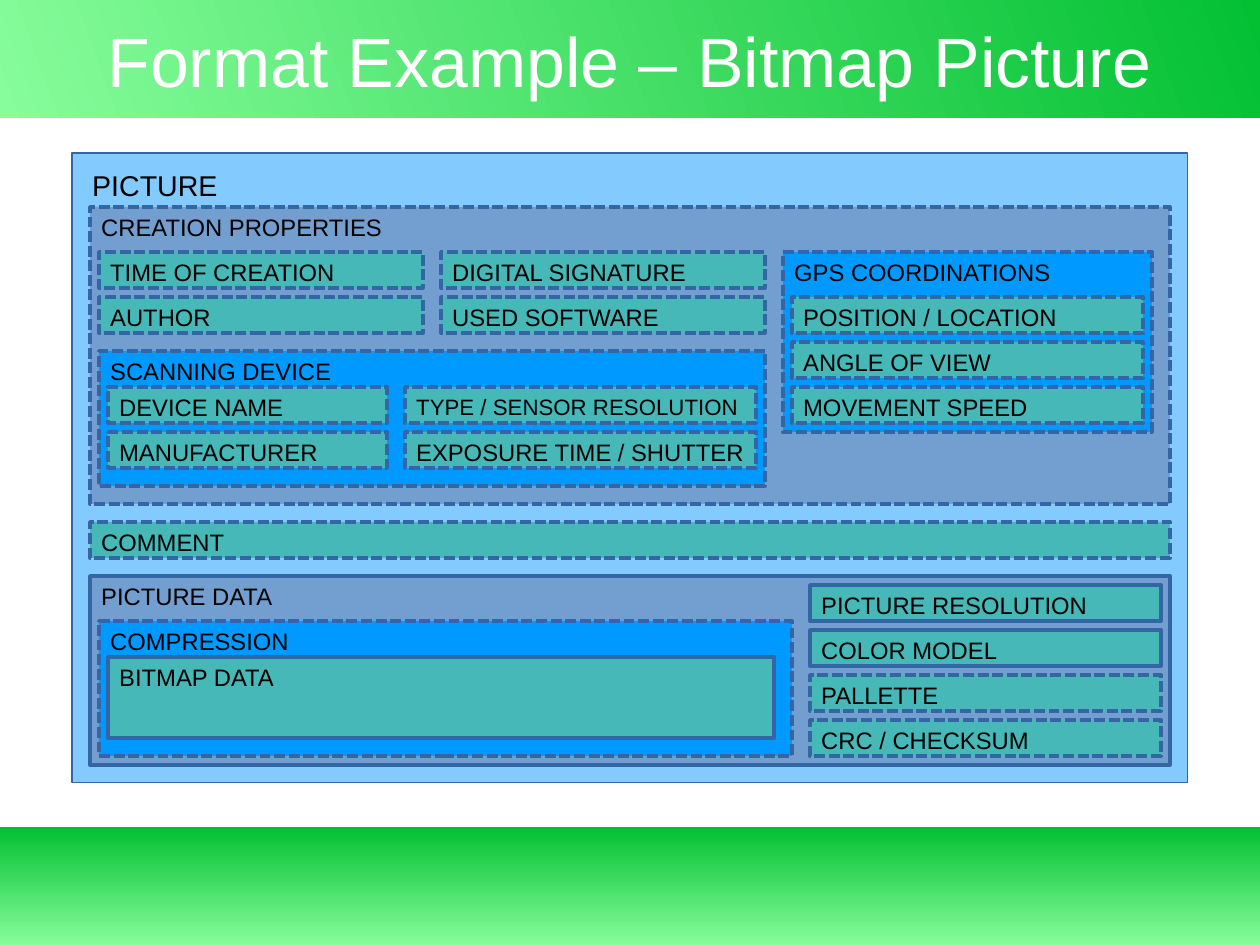
"""Builds a slide that shows the block structure of a bitmap picture format."""
from pptx import Presentation
from pptx.dml.color import RGBColor
from pptx.enum.dml import MSO_LINE
from pptx.enum.shapes import MSO_SHAPE
from pptx.enum.text import MSO_ANCHOR, MSO_AUTO_SIZE, PP_ALIGN
from pptx.util import Cm, Pt

RECTANGLE = MSO_SHAPE.RECTANGLE
DASHED = MSO_LINE.SQUARE_DOT
TOP, MIDDLE = MSO_ANCHOR.TOP, MSO_ANCHOR.MIDDLE
LEFT, CENTER = PP_ALIGN.LEFT, PP_ALIGN.CENTER
FIXED_SIZE = MSO_AUTO_SIZE.NONE

SLIDE_WIDTH, SLIDE_HEIGHT, BAR_HEIGHT = 28, 21, 2.62
ROW_STEP, FIELD_HEIGHT = 1, 0.8
PICTURE_FILL, SECTION_FILL = "83CAFF", "729FCF"
GROUP_FILL, FIELD_FILL = "0099FF", "47B8B8"
BORDER, LIGHT_GREEN, DARK_GREEN = "3465A4", "87FD9B", "03C033"


def colour(value):
    """Turn a hex string into a colour."""
    return RGBColor.from_string(value)


class FormatSlide:
    """Holds the style and the current slide."""

    font_name = "Arial"

    def __init__(self, presentation):
        """Add a title-only slide."""
        self.slide = presentation.slides.add_slide(presentation.slide_layouts[5])

    def rectangle(self, left, top, width, height):
        """Add a rectangle without a shadow."""
        shape = self.slide.shapes.add_shape(
            RECTANGLE, Cm(left), Cm(top), Cm(width), Cm(height))
        shape.shadow.inherit = False
        return shape

    def label(self, frame, text, size, hex_colour, align, anchor, insets):
        """Set one line of text with the given left and top insets."""
        frame.auto_size = FIXED_SIZE
        frame.word_wrap = True
        frame.vertical_anchor = anchor
        frame.margin_left, frame.margin_top = (Cm(inset) for inset in insets)
        frame.margin_right = frame.margin_bottom = 0
        paragraph = frame.paragraphs[0]
        paragraph.alignment = align
        run = paragraph.add_run()
        run.text = text
        run.font.name = self.font_name
        run.font.size = Pt(size)
        run.font.color.rgb = colour(hex_colour)

    def bar(self, top, angle):
        """Add a green gradient bar across the slide."""
        bar = self.rectangle(0, top, SLIDE_WIDTH, BAR_HEIGHT)
        bar.line.fill.background()
        bar.fill.gradient()
        bar.fill.gradient_angle = angle
        for stop, shade in zip(bar.fill.gradient_stops, (LIGHT_GREEN, DARK_GREEN)):
            stop.color.rgb = colour(shade)

    def title(self, text):
        """Fill the title placeholder and bring it in front of the bars."""
        title = self.slide.shapes.title
        title.left, title.top, title.width, title.height = (
            Cm(1.4), Cm(0.43), Cm(25.2), Cm(1.78))
        self.label(title.text_frame, text, 44, "FFFFFF", CENTER, MIDDLE, (0, 0))
        title.element.getparent().append(title.element)

    def block(self, text, left, top, width, height, fill, required=False,
              size=15, border=2.3, insets=(0.25, 0.13)):
        """Add a labelled block, dashed unless it is required."""
        block = self.rectangle(left, top, width, height)
        block.fill.solid()
        block.fill.fore_color.rgb = colour(fill)
        block.line.color.rgb = colour(BORDER)
        block.line.width = Pt(border)
        if not required:
            block.line.dash_style = DASHED
        self.label(block.text_frame, text, size, "000000", LEFT, TOP, insets)

    def fields(self, left, top, width, names, required=(), sizes=None):
        """Add a column of fields at an equal step."""
        for row, name in enumerate(names):
            self.block(name, left, top + row * ROW_STEP, width, FIELD_HEIGHT,
                       FIELD_FILL, name in required, (sizes or {}).get(name, 15))


def main():
    """Build and save the slide."""
    presentation = Presentation()
    presentation.slide_width = Cm(SLIDE_WIDTH)
    presentation.slide_height = Cm(SLIDE_HEIGHT)
    page = FormatSlide(presentation)
    page.bar(0, 20)
    page.bar(SLIDE_HEIGHT - BAR_HEIGHT, 90)
    page.title("Format Example – Bitmap Picture")

    page.block("PICTURE", 1.6, 3.4, 24.8, 14, PICTURE_FILL, required=True,
               size=18, border=0, insets=(0.45, 0.33))

    page.block("CREATION PROPERTIES", 2, 4.6, 24, 6.6, SECTION_FILL)
    page.fields(2.2, 5.6, 7.2, ["TIME OF CREATION", "AUTHOR"])
    page.fields(9.8, 5.6, 7.2, ["DIGITAL SIGNATURE", "USED SOFTWARE"])

    page.block("SCANNING DEVICE", 2.2, 7.8, 14.8, 3, GROUP_FILL)
    page.fields(2.4, 8.6, 6.2, ["DEVICE NAME", "MANUFACTURER"])
    page.fields(9, 8.6, 7.8, ["TYPE / SENSOR RESOLUTION", "EXPOSURE TIME / SHUTTER"],
                sizes={"TYPE / SENSOR RESOLUTION": 14})

    page.block("GPS COORDINATIONS", 17.4, 5.6, 8.2, 4, GROUP_FILL)
    page.fields(17.6, 6.6, 7.8,
                ["POSITION / LOCATION", "ANGLE OF VIEW", "MOVEMENT SPEED"])

    page.fields(2, 11.6, 24, ["COMMENT"])

    page.block("PICTURE DATA", 2, 12.8, 24, 4.2, SECTION_FILL, required=True)
    page.block("COMPRESSION", 2.2, 13.8, 15.4, 3, GROUP_FILL)
    page.block("BITMAP DATA", 2.4, 14.6, 14.8, 1.8, FIELD_FILL, required=True)
    page.fields(18, 13, 7.8,
                ["PICTURE RESOLUTION", "COLOR MODEL", "PALLETTE", "CRC / CHECKSUM"],
                required=("PICTURE RESOLUTION", "COLOR MODEL"))
    presentation.save("out.pptx")


if __name__ == "__main__":
    main()
